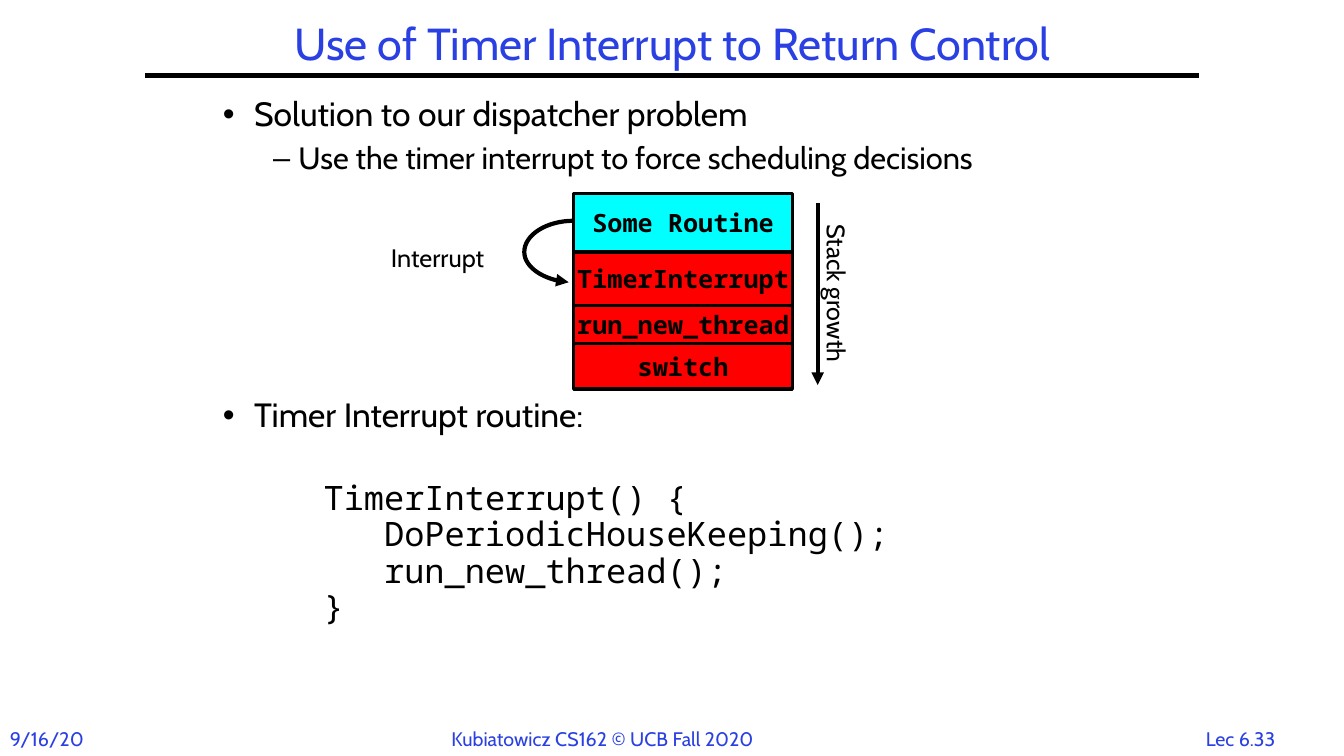
from dataclasses import dataclass

from lxml.etree import SubElement
from pptx import Presentation
from pptx.dml.color import RGBColor
from pptx.enum.shapes import MSO_CONNECTOR, MSO_SHAPE
from pptx.enum.text import MSO_ANCHOR, MSO_AUTO_SIZE, PP_ALIGN
from pptx.oxml.ns import qn
from pptx.util import Inches, Pt


@dataclass(frozen=True)
class Theme:
    accent: RGBColor = RGBColor(0x2A, 0x40, 0xE2)
    ink: RGBColor = RGBColor(0, 0, 0)
    routine: RGBColor = RGBColor(0, 0xFF, 0xFF)
    kernel: RGBColor = RGBColor(0xFF, 0, 0)
    sans: str = "Cabin"
    mono: str = "Noto Sans Mono"
    title: int = 32
    body: int = 24
    sub: int = 22
    label: int = 18
    footer: int = 14
    frame_line: float = 2.25
    arrow_line: float = 3


THEME = Theme()


@dataclass(frozen=True)
class Label:
    text: str
    left: float
    top: float
    width: float
    height: float
    size: int
    color: RGBColor
    align: PP_ALIGN = PP_ALIGN.CENTER
    rotation: int = 0


@dataclass(frozen=True)
class StackFrame:
    text: str
    height: float
    fill: RGBColor


@dataclass(frozen=True)
class BodyLine:
    text: str
    margin: float
    before: float
    size: int = THEME.body
    hanging: float = 0
    bullet: str = ""
    level: int = 0
    font: str = THEME.sans


FOOTERS = [
    Label("Lec 6.33", 11.82, 7.16, 0.97, 0.33, THEME.footer, THEME.accent),
    Label("9/16/20", 0, 7.16, 1, 0.34, THEME.footer, THEME.accent, PP_ALIGN.LEFT),
    Label("Kubiatowicz CS162 © UCB Fall 2020", 4.38, 7.16, 3.43, 0.34,
          THEME.footer, THEME.accent, PP_ALIGN.LEFT),
]
DIAGRAM_LABELS = [
    Label("Interrupt", 3.77, 2.35, 1.14, 0.4, THEME.label, THEME.ink),
    Label("Stack growth", 7.47, 2.71, 1.66, 0.4, THEME.label, THEME.ink, rotation=90),
]
STACK = [
    StackFrame("Some Routine", 0.58, THEME.routine),
    StackFrame("TimerInterrupt", 0.53, THEME.kernel),
    StackFrame("run_new_thread", 0.38, THEME.kernel),
    StackFrame("switch", 0.45, THEME.kernel),
]
BODY = [
    BodyLine("Solution to our dispatcher problem", 0.31, 7, hanging=0.31, bullet="•"),
    BodyLine("Use the timer interrupt to force scheduling decisions",
             0.75, 6.5, THEME.sub, 0.25, "–", 1),
    BodyLine("Timer Interrupt routine:", 0.31, 158.5, hanging=0.31, bullet="•"),
    BodyLine("TimerInterrupt() {", 1, 33.5, font=THEME.mono),
    BodyLine("DoPeriodicHouseKeeping();", 1.6, 0, font=THEME.mono),
    BodyLine("run_new_thread();", 1.6, 0, font=THEME.mono),
    BodyLine("}", 1, 0, font=THEME.mono),
]
# Two Bézier segments of the interrupt arrow
INTERRUPT_CURVE = [
    ((5.69, 2.19), (5.42, 2.19), (5.2, 2.33), (5.2, 2.5)),
    ((5.2, 2.5), (5.2, 2.65), (5.39, 2.78), (5.64, 2.8)),
]


def write(paragraph, text: str, *, size: int, color: RGBColor = THEME.ink,
          font: str = THEME.sans, bold: bool = False,
          align: PP_ALIGN = PP_ALIGN.LEFT, spacing: float = 1.0) -> None:
    paragraph.alignment = align
    paragraph.line_spacing = spacing
    run = paragraph.add_run()
    run.text = text
    run.font.size = Pt(size)
    run.font.name = font
    run.font.bold = bold
    run.font.color.rgb = color


def place(shape, left: float, top: float, width: float, height: float) -> None:
    shape.left, shape.top = Inches(left), Inches(top)
    shape.width, shape.height = Inches(width), Inches(height)


def add_label(slide, label: Label) -> None:
    box = slide.shapes.add_textbox(Inches(label.left), Inches(label.top),
                                   Inches(label.width), Inches(label.height))
    box.rotation = label.rotation
    box.text_frame.word_wrap = False
    write(box.text_frame.paragraphs[0], label.text, size=label.size,
          color=label.color, align=label.align)


def style_line(shape, width: float, arrow: bool = False) -> None:
    shape.line.color.rgb = THEME.ink
    shape.line.width = Pt(width)
    if arrow:
        SubElement(shape.line._get_or_add_ln(), qn("a:tailEnd"), type="triangle")


def add_line(slide, start: tuple[float, float], end: tuple[float, float],
             arrow: bool = False) -> None:
    line = slide.shapes.add_connector(MSO_CONNECTOR.STRAIGHT,
                                      *map(Inches, start + end))
    style_line(line, THEME.arrow_line, arrow)
    SubElement(line._element.spPr, qn("a:effectLst"))


def fill_body(body) -> None:
    frame = body.text_frame
    frame.vertical_anchor = MSO_ANCHOR.TOP
    frame.auto_size = MSO_AUTO_SIZE.NONE
    for index, line in enumerate(BODY):
        paragraph = frame.add_paragraph() if index else frame.paragraphs[0]
        write(paragraph, line.text, size=line.size, font=line.font, spacing=0.9)
        paragraph.level = line.level
        paragraph.space_before = Pt(line.before)
        properties = paragraph._p.get_or_add_pPr()
        properties.set("marL", str(Inches(line.margin)))
        properties.set("indent", str(-Inches(line.hanging)))
        if line.bullet:
            SubElement(properties, qn("a:buChar"), char=line.bullet)
        else:
            SubElement(properties, qn("a:buNone"))


def add_stack(slide, left: float, top: float, width: float) -> None:
    for frame in STACK:
        box = slide.shapes.add_shape(MSO_SHAPE.RECTANGLE, Inches(left), Inches(top),
                                     Inches(width), Inches(frame.height))
        box.shadow.inherit = False
        box.fill.solid()
        box.fill.fore_color.rgb = frame.fill
        style_line(box, THEME.frame_line)
        box.text_frame.word_wrap = False
        box.text_frame.vertical_anchor = MSO_ANCHOR.MIDDLE
        write(box.text_frame.paragraphs[0], frame.text, size=THEME.label,
              font=THEME.mono, bold=True, align=PP_ALIGN.CENTER)
        top += frame.height


def bezier_point(controls, t: float) -> tuple[int, int]:
    weights = ((1 - t) ** 3, 3 * t * (1 - t) ** 2, 3 * t ** 2 * (1 - t), t ** 3)
    x, y = (sum(w * c for w, c in zip(weights, axis)) for axis in zip(*controls))
    return Inches(x), Inches(y)


def add_interrupt_arrow(slide, steps: int = 16) -> None:
    points = [bezier_point(segment, step / steps)
              for segment in INTERRUPT_CURVE for step in range(1, steps + 1)]
    builder = slide.shapes.build_freeform(*bezier_point(INTERRUPT_CURVE[0], 0))
    builder.add_line_segments(points, close=False)
    arrow = builder.convert_to_shape()
    arrow.shadow.inherit = False
    arrow.fill.background()
    style_line(arrow, THEME.arrow_line, arrow=True)


def main() -> None:
    deck = Presentation()
    deck.slide_width, deck.slide_height = Inches(13.33), Inches(7.5)
    slide = deck.slides.add_slide(deck.slide_layouts[1])
    title, body = slide.placeholders

    # Title and its rule
    place(title, 2.42, 0.17, 8.5, 0.58)
    title.text_frame.vertical_anchor = MSO_ANCHOR.MIDDLE
    title.text_frame.auto_size = MSO_AUTO_SIZE.NONE
    write(title.text_frame.paragraphs[0], "Use of Timer Interrupt to Return Control",
          size=THEME.title, color=THEME.accent, align=PP_ALIGN.CENTER, spacing=0.9)
    add_line(slide, (1.44, 0.75), (11.89, 0.75))

    # Bullets and code
    place(body, 2.11, 0.92, 9, 6.31)
    fill_body(body)

    # Stack diagram
    add_stack(slide, 5.69, 1.92, 2.17)
    add_interrupt_arrow(slide)
    add_line(slide, (8.11, 2.01), (8.11, 3.82), arrow=True)

    # Diagram labels and footers
    for label in DIAGRAM_LABELS + FOOTERS:
        add_label(slide, label)

    deck.save("out.pptx")


if __name__ == "__main__":
    main()
